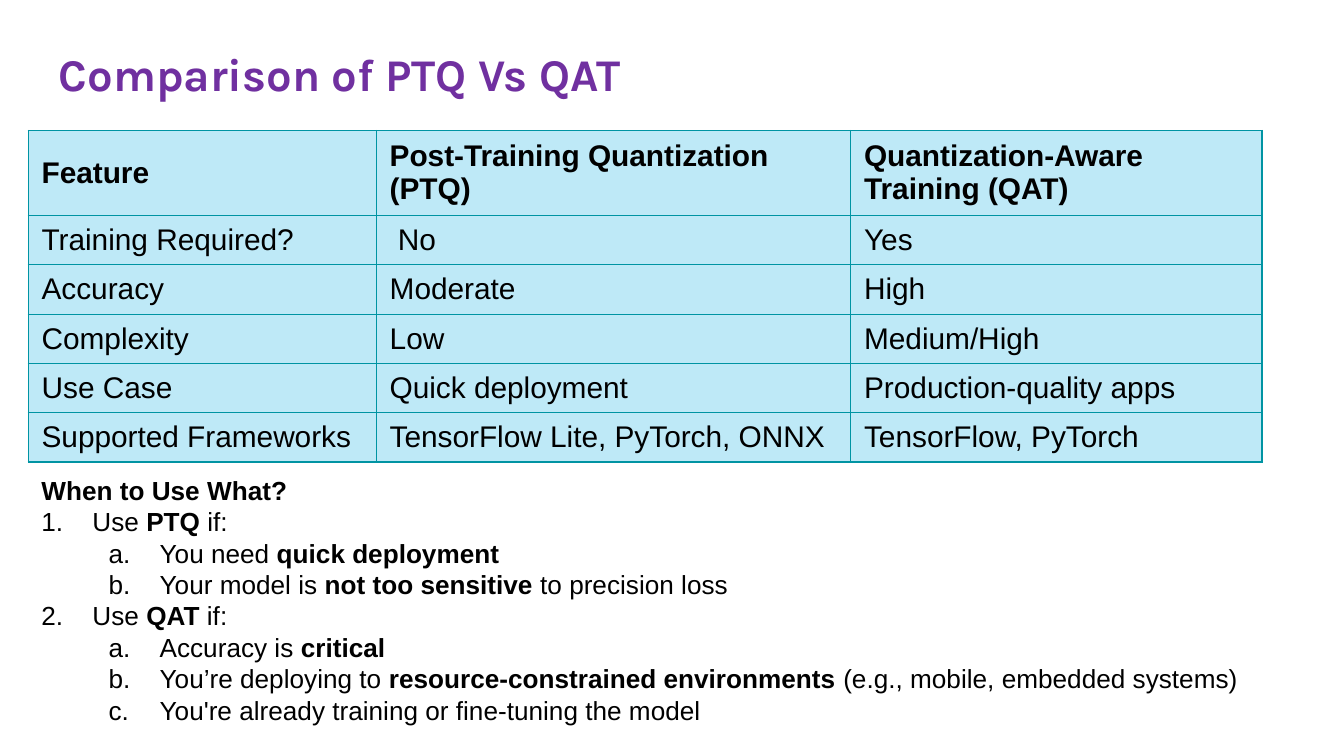
from lxml import etree
from pptx import Presentation
from pptx.dml.color import RGBColor
from pptx.enum.text import MSO_ANCHOR
from pptx.oxml.ns import qn
from pptx.util import Inches, Pt

MIDDLE = MSO_ANCHOR.MIDDLE
TOP = MSO_ANCHOR.TOP
COLORS = {"title": "7030A0", "text": "000000", "cell": "BEE9F7", "border": "0094A3"}


def add_run(p, text, color="text", **fmt):
    r = p.add_run()
    r.text = text
    r.font.color.rgb = RGBColor.from_string(COLORS[color])
    for name, value in fmt.items():
        setattr(r.font, name, value)


def add_color(parent, tag, color):
    el = etree.SubElement(parent, qn(tag))
    etree.SubElement(el, qn("a:srgbClr"), val=COLORS[color])


prs = Presentation()
prs.slide_width = Inches(10)
prs.slide_height = Inches(10) * 9 // 16
s = prs.slides.add_slide(prs.slide_layouts[6])

tf = s.shapes.add_textbox(Inches(0.34), Inches(0.24), Inches(5.28), Inches(0.69)).text_frame
frame = {"word_wrap": True, "vertical_anchor": TOP,
         "margin_top": Inches(0.1), "margin_bottom": Inches(0.1)}
for name, value in frame.items():
    setattr(tf, name, value)
add_run(tf.paragraphs[0], "Comparison of PTQ Vs QAT", "title",
        name="Karla", size=Pt(24.3), bold=True)

rows = [
    ["Feature", "Post-Training Quantization (PTQ)", "Quantization-Aware Training (QAT)"],
    ["Training Required?", " No", "Yes"],
    ["Accuracy", "Moderate", "High"],
    ["Complexity", "Low", "Medium/High"],
    ["Use Case", "Quick deployment", "Production-quality apps"],
    ["Supported Frameworks", "TensorFlow Lite, PyTorch, ONNX", "TensorFlow, PyTorch"],
]
table = s.shapes.add_table(len(rows), 3, Inches(0.21), Inches(0.97),
                           Inches(9.18), Inches(2.22)).table
for col, width in zip(table.columns, (2.59, 3.53, 3.06)):
    col.width = Inches(width)
for i, row in enumerate(rows):
    table.rows[i].height = Inches(0.33 if i else 0.57)
    for j, text in enumerate(row):
        cell = table.cell(i, j)
        cell.vertical_anchor = MIDDLE
        add_run(cell.text_frame.paragraphs[0], text, name="Arial", size=Pt(16), bold=i == 0)
        tcPr = cell._tc.get_or_add_tcPr()
        for side in ("a:lnL", "a:lnR", "a:lnT", "a:lnB"):
            ln = etree.SubElement(tcPr, qn(side), w=str(Pt(0.75)))
            add_color(ln, "a:solidFill", "border")
        cell.fill.solid()
        cell.fill.fore_color.rgb = RGBColor.from_string(COLORS["cell"])

guidance = [
    (None, ["", "When to Use What?"]),
    (0, ["Use ", "PTQ", " if:"]),
    (1, ["You need ", "quick deployment"]),
    (1, ["Your model is ", "not too sensitive", " to precision loss"]),
    (0, ["Use ", "QAT", " if:"]),
    (1, ["Accuracy is ", "critical"]),
    (1, ["You’re deploying to ", "resource-constrained environments",
         " (e.g., mobile, embedded systems)"]),
    (1, ["You're already training or fine-tuning the model"]),
]
numbering = ["arabicPeriod", "alphaLcPeriod"]
tf = s.shapes.add_textbox(Inches(0.21), Inches(3.48), Inches(9.53), Inches(1.99)).text_frame
tf.word_wrap = True
for i, (level, parts) in enumerate(guidance):
    p = tf.add_paragraph() if i else tf.paragraphs[0]
    if level is not None:
        p.level = level
        pPr = p._p.get_or_add_pPr()
        pPr.set("marL", str(Inches(0.38 + 0.5 * level)))
        pPr.set("indent", str(Inches(-0.38)))
        add_color(pPr, "a:buClr", "text")
        etree.SubElement(pPr, qn("a:buFont"), typeface="Arial")
        etree.SubElement(pPr, qn("a:buAutoNum"), type=numbering[level])
    for j, text in enumerate(parts):
        if text:
            add_run(p, text, name="Arial", size=Pt(14), bold=j == 1)

prs.save("out.pptx")
